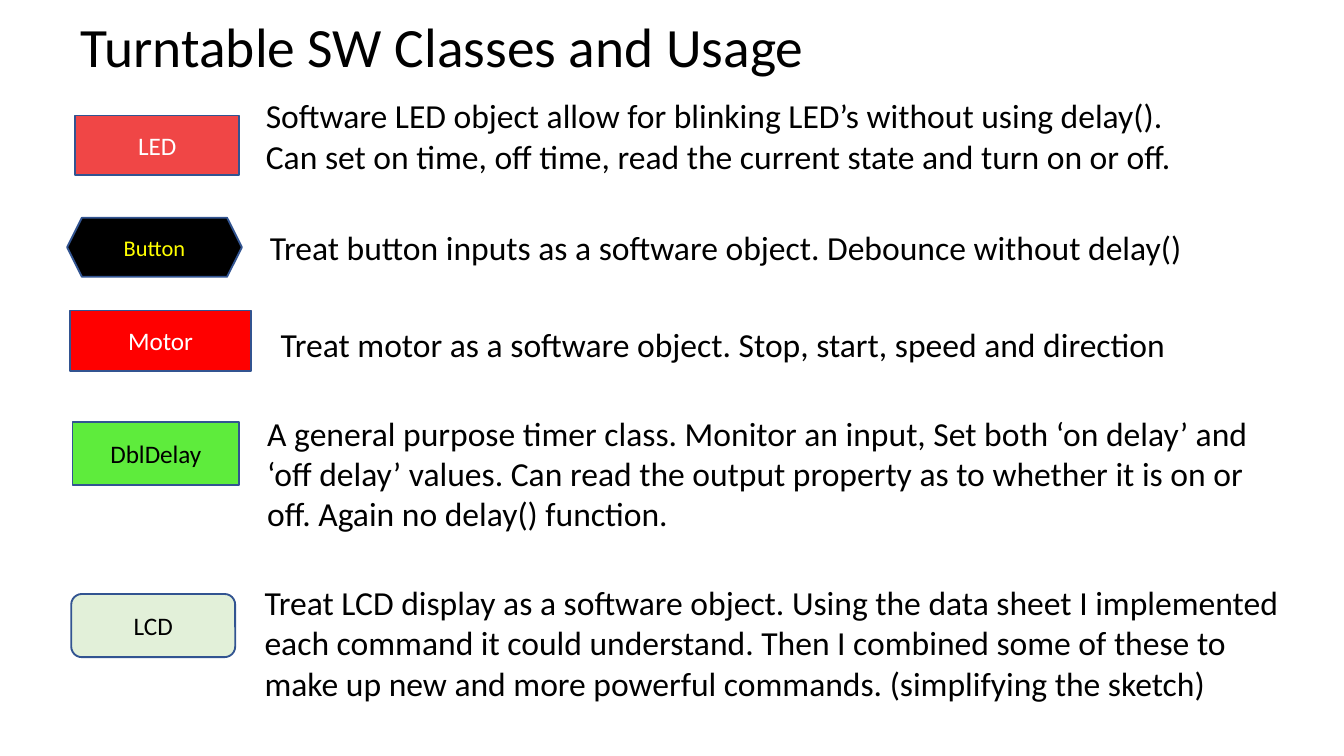
from dataclasses import dataclass

from pptx import Presentation
from pptx.dml.color import RGBColor
from pptx.enum.shapes import MSO_SHAPE as Shape
from pptx.enum.text import MSO_ANCHOR as Anchor, PP_ALIGN as Align
from pptx.util import Inches, Pt


@dataclass(frozen=True)
class Theme:
    font: str = "Calibri"
    black: str = "000000"
    white: str = "FFFFFF"
    yellow: str = "FFFF00"
    outline: str = "325491"
    led: str = "F04646"
    motor: str = "FF0000"
    delay: str = "5EEC3C"
    lcd: str = "E2F0D9"
    title_size: float = 29.7
    body_size: float = 18
    label_size: float = 13.5
    small_size: float = 12


THEME = Theme()

CLASSES = [
    ("LED", Shape.RECTANGLE, (0.56, 0.86, 1.22, 0.44),
     THEME.led, THEME.white, THEME.label_size,
     "Software LED object allow for blinking LED’s without using delay().\n"
     "Can set on time, off time, read the current state and turn on or off.",
     (1.88, 0.66, 7.4, 0.71)),
    ("Button", Shape.HEXAGON, (0.5, 1.62, 1.3, 0.44),
     THEME.black, THEME.yellow, THEME.small_size,
     "Treat button inputs as a software object. Debounce without delay()",
     (1.91, 1.64, 7.53, 0.4)),
    ("Motor", Shape.RECTANGLE, (0.52, 2.31, 1.35, 0.45),
     THEME.motor, THEME.white, THEME.label_size,
     "Treat motor as a software object. Stop, start, speed and direction",
     (1.99, 2.36, 7.6, 0.4)),
    ("DblDelay", Shape.RECTANGLE, (0.54, 3.14, 1.24, 0.47),
     THEME.delay, THEME.black, THEME.label_size,
     "A general purpose timer class. Monitor an input, Set both ‘on delay’ and "
     "‘off delay’ values. Can read the output property as to whether it is on or "
     "off. Again no delay() function.",
     (1.89, 3.02, 7.53, 1.01)),
    ("LCD", Shape.ROUNDED_RECTANGLE, (0.53, 4.42, 1.22, 0.47),
     THEME.lcd, THEME.black, THEME.label_size,
     "Treat LCD display as a software object. Using the data sheet I implemented "
     "each command it could understand. Then I combined some of these to "
     "make up new and more powerful commands. (simplifying the sketch)",
     (1.87, 4.28, 7.88, 1.01)),
]


def rgb(color):
    return RGBColor.from_string(color)


def write(frame, text, size, color, align=Align.LEFT, anchor=Anchor.TOP):
    frame.text = text
    frame.word_wrap = True
    frame.vertical_anchor = anchor
    for paragraph in frame.paragraphs:
        paragraph.alignment = align
        for run in paragraph.runs:
            run.font.name = THEME.font
            run.font.size = Pt(size)
            run.font.color.rgb = rgb(color)


def set_title(slide, text, box):
    title = slide.shapes.title
    title.left, title.top, title.width, title.height = map(Inches, box)
    write(title.text_frame, text, THEME.title_size, THEME.black, anchor=Anchor.MIDDLE)
    title.text_frame.paragraphs[0].line_spacing = 0.9


def add_badge(shapes, name, outline, box, fill, color, size):
    badge = shapes.add_shape(outline, *map(Inches, box))
    badge.shadow.inherit = False
    badge.fill.solid()
    badge.fill.fore_color.rgb = rgb(fill)
    badge.line.color.rgb = rgb(THEME.outline)
    badge.line.width = Pt(1)
    write(badge.text_frame, name, size, color, Align.CENTER, Anchor.MIDDLE)


def add_usage(shapes, text, box):
    usage = shapes.add_textbox(*map(Inches, box))
    write(usage.text_frame, text, THEME.body_size, THEME.black)


def main():
    deck = Presentation()
    deck.slide_width = Inches(10)
    deck.slide_height = deck.slide_width * 9 // 16
    slide = deck.slides.add_slide(deck.slide_layouts[5])
    set_title(slide, "Turntable SW Classes and Usage", (0.5, 0.13, 8.62, 0.47))
    for *badge, usage, usage_box in CLASSES:
        entry = slide.shapes.add_group_shape()
        add_badge(entry.shapes, *badge)
        add_usage(entry.shapes, usage, usage_box)
    deck.save("out.pptx")


if __name__ == "__main__":
    main()
